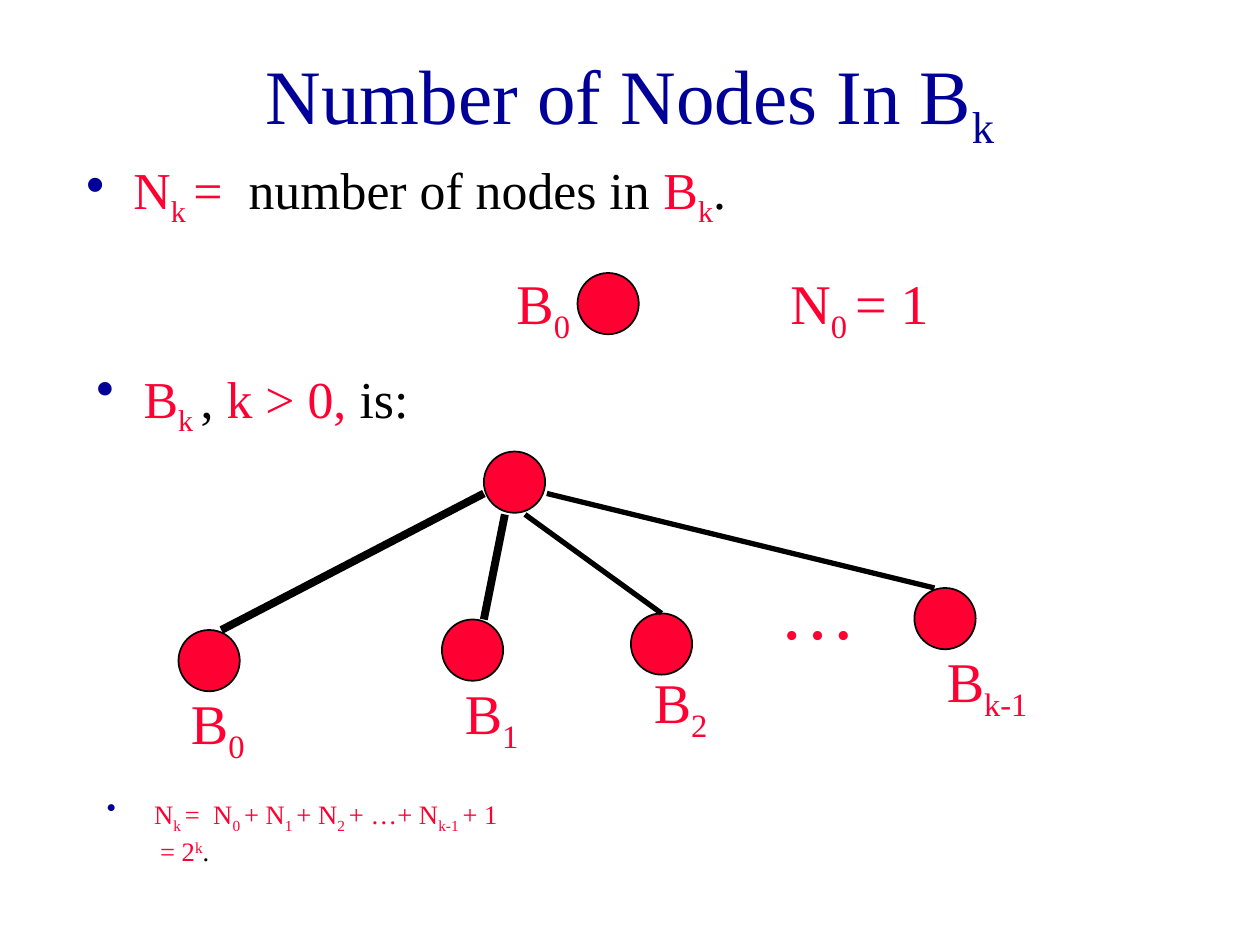
import pptx
import pptx.dml.color
import pptx.enum.shapes
import pptx.enum.text
import pptx.util
from lxml import etree

Pt = pptx.util.Pt
RED, BLUE, BLACK = "FF0033", "000099", "000000"
FONT = "Times New Roman"
NODE_SIZE = 35
SUB, SUPER = -25000, 30000


def color(value):
    return pptx.dml.color.RGBColor.from_string(value)


def place(shape, box):
    shape.left, shape.top, shape.width, shape.height = map(Pt, box)


def write(paragraph, size, parts):
    """Add runs; each part is (text, colour, baseline, letter spacing)."""
    for text, run_color, baseline, spacing in parts:
        run = paragraph.add_run()
        run.text = text
        run.font.name, run.font.size = FONT, Pt(size)
        run.font.color.rgb = color(run_color)
        properties = run._r.get_or_add_rPr()
        if baseline:
            properties.set("baseline", str(baseline))
        if spacing:
            properties.set("spc", str(spacing))


def part(text, run_color=RED, baseline=0, spacing=0):
    return text, run_color, baseline, spacing


def sub(text):
    return part(text, RED, SUB)


def add_bullet(paragraph):
    properties = paragraph._p.get_or_add_pPr()
    properties.set("marL", str(Pt(27)))
    properties.set("indent", str(Pt(-27)))
    namespace = "{http://schemas.openxmlformats.org/drawingml/2006/main}"
    bullet_color = etree.SubElement(properties, namespace + "buClr")
    etree.SubElement(bullet_color, namespace + "srgbClr", val=BLUE)
    etree.SubElement(properties, namespace + "buChar", char="•")


def bullet_text(shape, box, size, line_spacing, parts):
    place(shape, box)
    frame = shape.text_frame
    frame.word_wrap = True
    frame.auto_size = pptx.enum.text.MSO_AUTO_SIZE.NONE
    paragraph = frame.paragraphs[0]
    paragraph.line_spacing = line_spacing
    paragraph.space_before = Pt(0)
    add_bullet(paragraph)
    write(paragraph, size, parts)
    return frame


def add_label(shapes, box, parts, size=32):
    label = shapes.add_textbox(*map(Pt, box))
    label.text_frame.word_wrap = True
    write(label.text_frame.paragraphs[0], size, parts)


def add_node(shapes, x, y):
    node = shapes.add_shape(pptx.enum.shapes.MSO_SHAPE.OVAL,
                            Pt(x), Pt(y), Pt(NODE_SIZE), Pt(NODE_SIZE))
    node.shadow.inherit = False
    node.fill.solid()
    node.fill.fore_color.rgb = color(RED)
    node.line.color.rgb = color(BLACK)
    node.line.width = Pt(1)


def add_edge(shapes, start, end, width):
    edge = shapes.add_connector(pptx.enum.shapes.MSO_CONNECTOR.STRAIGHT,
                                *map(Pt, start + end))
    edge.line.color.rgb = color(BLACK)
    edge.line.width = Pt(width)
    etree.SubElement(edge._element.spPr,
                     "{http://schemas.openxmlformats.org/drawingml/2006/main}effectLst")


def add_title(title, box):
    place(title, box)
    title.text_frame.vertical_anchor = pptx.enum.text.MSO_ANCHOR.MIDDLE
    paragraph = title.text_frame.paragraphs[0]
    paragraph.alignment = pptx.enum.text.PP_ALIGN.CENTER
    write(paragraph, 44, [part("Number of Nodes In B", BLUE), part("k", BLUE, SUB)])


def add_base_case(slide, left, top):
    shapes = slide.shapes.add_group_shape().shapes
    add_node(shapes, left + 42, top + 6)
    add_label(shapes, (left, top, 54, 51), [part("B"), sub("0")])
    add_label(slide.shapes, (left + 156.5, top, 96, 51),
              [part("N"), sub("0 "), part("= 1")])


def add_tree(slide, left, top):
    shapes = slide.shapes.add_group_shape().shapes
    add_node(shapes, left + 174.5, top)
    # Child: subscript, node x and y, label offset and width,
    # edge start on the root, edge end x, edge width
    children = [
        ("0", 0, 102, 0, 30, 48, 174.5, 24, 24.5, 4.5),
        ("1", 150.5, 96, 6, 30, 48, 186.5, 36, 174.5, 4.5),
        ("2", 258.5, 92.5, 6, 27.5, 48, 198, 36, 276, 3),
        ("k-1", 420.5, 78, 11.5, 30, 78, 210.5, 24, 432, 3),
    ]
    for index, x, y, dx, dy, label_width, start_x, start_y, end_x, width in children:
        add_node(shapes, left + x, top + y)
        add_edge(shapes, (left + start_x, top + start_y), (left + end_x, top + y), width)
        add_label(shapes, (left + x + dx, top + y + dy, label_width, 51),
                  [part("B"), sub(index)])
    add_label(shapes, (left + 336.5, top + 60, 54, 60), [part("…")], 44)


def add_sum(slide, box):
    parts = [part("N"), sub("k "), part("=", spacing=380), part(" N"), sub("0 ")]
    for lead, index in (("+ N", "1 "), ("+ N", "2 "), ("+ …+ N", "k-1 ")):
        parts += [part(lead), sub(index)]
    parts.append(part("+ 1"))
    frame = bullet_text(slide.shapes.add_textbox(0, 0, 0, 0), box, 15.2, 0.7, parts)
    # Result line, indented under the sum
    result = frame.add_paragraph()
    result._p.get_or_add_pPr().set("marL", str(Pt(30.4)))
    result.line_spacing = 0.7
    result.space_before = Pt(8)
    write(result, 15.2, [part("= 2"), part("k", RED, SUPER), part(".", BLACK)])


def main():
    presentation = pptx.Presentation()
    presentation.slide_width, presentation.slide_height = Pt(720), Pt(540)
    slide = presentation.slides.add_slide(presentation.slide_layouts[1])

    # Title and definition
    add_title(slide.shapes.title, (54, 12, 612, 90))
    bullet_text(slide.placeholders[1], (42, 90, 612, 42), 29.6, 0.8,
                [part("N"), sub("k "), part("=", spacing=740), part(" "),
                 part("number of nodes in", BLACK), part(" B"), sub("k"),
                 part(".", BLACK)])

    # Single-node tree
    add_base_case(slide, 288, 150)

    # Recursive tree
    bullet_text(slide.shapes.add_textbox(0, 0, 0, 0), (48, 210, 612, 42), 29.6, 0.8,
                [part("B"), sub("k "), part(", ", BLACK), part("k > 0, "),
                 part("is:", BLACK)])
    add_tree(slide, 102, 258)

    # Node count
    add_sum(slide, (54, 456, 612, 42))
    presentation.save("out.pptx")


if __name__ == "__main__":
    main()
